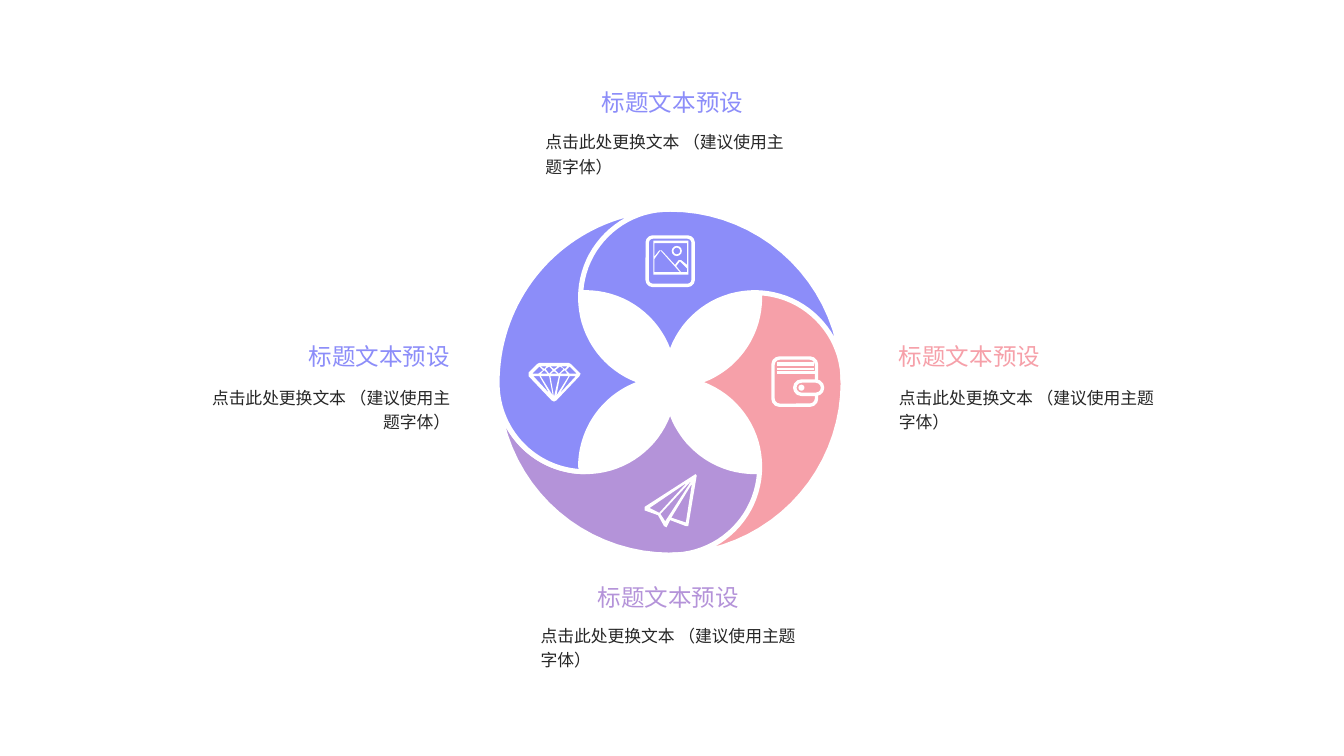
from math import acos, cos, degrees, radians, sin

from lxml.etree import SubElement
from pptx import Presentation
from pptx.dml.color import RGBColor
from pptx.enum.shapes import MSO_CONNECTOR, MSO_SHAPE
from pptx.enum.text import MSO_ANCHOR, PP_ALIGN
from pptx.oxml.ns import qn
from pptx.util import Inches, Pt

BLUE = RGBColor(0x8C, 0x8D, 0xF9)
PINK = RGBColor(0xF6, 0xA0, 0xA9)
PURPLE = RGBColor(0xB4, 0x93, 0xD9)
WHITE = RGBColor(0xFF, 0xFF, 0xFF)
INK = RGBColor(0x26, 0x26, 0x26)

deck = Presentation()
deck.slide_width, deck.slide_height = Inches(11.11), Inches(6.25)
page = deck.slides.add_slide(deck.slide_layouts[6])


def arc(center_x, center_y, radius, start, end, steps=40):
    """Points along an arc, with angles in degrees clockwise from the right."""
    angles = [radians(start + (end - start) * i / steps) for i in range(steps + 1)]
    return [(center_x + radius * cos(a), center_y + radius * sin(a)) for a in angles]


def add_outline(contours, fill):
    """One freeform made of closed contours; inner contours become holes."""
    emu = [[(Inches(x), Inches(y)) for x, y in contour] for contour in contours]
    builder = page.shapes.build_freeform(*emu[0][0], scale=1.0)
    for index, contour in enumerate(emu):
        if index:
            builder.move_to(*contour[0])
        builder.add_line_segments(contour[1:], close=True)
    shape = builder.convert_to_shape()
    shape.shadow.inherit = False
    shape.fill.solid()
    shape.fill.fore_color.rgb = fill
    shape.line.fill.background()
    return shape


# Wheel: each petal is a half disc less two small discs, turned by 90 degrees
HUB_X, HUB_Y = 5.54, 3.16
WHEEL, NOTCH, OFFSET, DROP = 1.43, 0.73, 0.7, 0.01
cusp = degrees(acos(OFFSET / NOTCH))
left_notch = arc(-OFFSET, DROP, NOTCH, 180, cusp)
full_petal = arc(0, 0, WHEEL, 0, 180) + left_notch + arc(OFFSET, DROP, NOTCH, 180 - cusp, 0)
# The last petal stops where it meets the first one
cut_petal = (arc(0, 0, WHEEL, 90, 180) + left_notch
             + arc(OFFSET, DROP, NOTCH, 180 - cusp, 90) + arc(DROP, OFFSET, NOTCH, 0, 90))

petals = [(full_petal, PURPLE), (full_petal, PINK), (full_petal, BLUE), (cut_petal, BLUE)]
for quarter, (outline, color) in enumerate(petals):
    turn = radians(-90 * quarter)
    points = [(HUB_X + x * cos(turn) - y * sin(turn), HUB_Y + x * sin(turn) + y * cos(turn))
              for x, y in outline]
    petal = add_outline([points], color)
    petal.line.color.rgb = WHITE
    petal.line.width = Pt(3)

# Icon outlines: paper plane, landscape and diamond
plane = [
    [(5.75, 3.92), (5.33, 4.19), (5.33, 4.22), (5.44, 4.26), (5.49, 4.35), (5.51, 4.36),
     (5.54, 4.3), (5.67, 4.35), (5.69, 4.35), (5.76, 3.93)],
    [(5.37, 4.2), (5.68, 3.99), (5.45, 4.24)],
    [(5.46, 4.25), (5.72, 3.97), (5.5, 4.31)],
    [(5.67, 4.32), (5.55, 4.28), (5.72, 4)],
]
landscape = [
    [(5.4, 1.99), (5.69, 1.99), (5.69, 2.27), (5.4, 2.27)],
    [(5.68, 2.01), (5.68, 2.19), (5.63, 2.15), (5.61, 2.15), (5.58, 2.19), (5.47, 2.07),
     (5.45, 2.07), (5.41, 2.12), (5.41, 2.01)],
    [(5.41, 2.14), (5.46, 2.07), (5.62, 2.25), (5.41, 2.25)],
    [(5.63, 2.25), (5.59, 2.2), (5.62, 2.16), (5.68, 2.22), (5.68, 2.25)],
]
diamond = [
    [(4.79, 3.08), (4.72, 3.01), (4.7, 3), (4.46, 3), (4.44, 3.01), (4.37, 3.08), (4.37, 3.11),
     (4.56, 3.31), (4.58, 3.32), (4.6, 3.31), (4.79, 3.11), (4.8, 3.09)],
    [(4.69, 3.03), (4.67, 3.05), (4.64, 3.03)],
    [(4.69, 3.09), (4.63, 3.09), (4.67, 3.06)],
    [(4.66, 3.05), (4.62, 3.09), (4.59, 3.06), (4.63, 3.03)],
    [(4.61, 3.09), (4.55, 3.09), (4.58, 3.07)],
    [(4.61, 3.03), (4.58, 3.05), (4.55, 3.03)],
    [(4.57, 3.06), (4.54, 3.09), (4.51, 3.05), (4.54, 3.03)],
    [(4.53, 3.09), (4.47, 3.09), (4.5, 3.06)],
    [(4.52, 3.03), (4.5, 3.05), (4.47, 3.03)],
    [(4.46, 3.03), (4.49, 3.06), (4.45, 3.09), (4.4, 3.09)],
    [(4.41, 3.11), (4.46, 3.11), (4.54, 3.25)],
    [(4.47, 3.11), (4.54, 3.11), (4.57, 3.27)],
    [(4.55, 3.11), (4.62, 3.11), (4.58, 3.28)],
    [(4.6, 3.27), (4.63, 3.11), (4.7, 3.11)],
    [(4.63, 3.25), (4.71, 3.11), (4.76, 3.11)],
    [(4.71, 3.09), (4.68, 3.06), (4.71, 3.03), (4.77, 3.09)],
]
for icon in (plane, landscape, diamond):
    add_outline(icon, WHITE)

# Wallet cards and flap edge: left, right, height, line width
card_lines = [(6.42, 6.73, 3, 1), (6.42, 6.73, 3.02, 1), (6.42, 6.73, 3.05, 1),
              (6.42, 6.75, 3.08, 2)]
for left, right, y, width in card_lines:
    edge = page.shapes.add_connector(
        MSO_CONNECTOR.STRAIGHT, Inches(left), Inches(y), Inches(right), Inches(y))
    edge.line.color.rgb = WHITE
    edge.line.width = Pt(width)
    SubElement(edge._element.spPr, qn("a:effectLst"))

# Rounded icon parts: left, top, width, height, corner, fill, line width
icon_parts = [
    (5.35, 1.96, 0.38, 0.4, 0.12, None, 2),     # photo frame
    (5.56, 2.04, 0.07, 0.07, 0.5, None, 1),     # sun
    (6.39, 2.96, 0.36, 0.39, 0.15, None, 2),    # wallet body
    (6.57, 3.15, 0.23, 0.11, 0.5, PINK, 2),     # clasp
    (6.6, 3.18, 0.05, 0.05, 0.5, WHITE, 0),     # button
]
for left, top, width, height, corner, fill, stroke in icon_parts:
    part = page.shapes.add_shape(MSO_SHAPE.ROUNDED_RECTANGLE, Inches(left), Inches(top),
                                 Inches(width), Inches(height))
    part.adjustments[0] = corner
    part.shadow.inherit = False
    if fill is None:
        part.fill.background()
    else:
        part.fill.solid()
        part.fill.fore_color.rgb = fill
    if stroke:
        part.line.color.rgb = WHITE
        part.line.width = Pt(stroke)
    else:
        part.line.fill.background()

# Captions: title box, its alignment, insets and anchor; body box, alignment, insets; colour
captions = [
    ((7.04, 2.78, 1.65, 0.33), PP_ALIGN.LEFT, (0.39, 0), MSO_ANCHOR.TOP,
     (7.04, 3.12, 2.69, 0.6), PP_ALIGN.LEFT, (0.39, 0.1), PINK),
    ((4.37, 4.64, 2.31, 0.46), PP_ALIGN.CENTER, (0, 0), MSO_ANCHOR.BOTTOM,
     (4.37, 5.09, 2.31, 0.6), PP_ALIGN.LEFT, (0.1, 0.1), PURPLE),
    ((4.88, 0.68, 1.36, 0.33), PP_ALIGN.CENTER, (0, 0), MSO_ANCHOR.TOP,
     (4.41, 1.01, 2.29, 0.6), PP_ALIGN.LEFT, (0.1, 0.1), BLUE),
    ((2.46, 2.78, 1.65, 0.33), PP_ALIGN.RIGHT, (0, 0.39), MSO_ANCHOR.TOP,
     (1.54, 3.12, 2.57, 0.6), PP_ALIGN.RIGHT, (0.1, 0.39), BLUE),
]
for (title_box, title_align, title_insets, title_anchor,
     body_box, body_align, body_insets, color) in captions:
    rows = [
        (title_box, "标题文本预设", 14, color, 1.0, title_align, title_insets, title_anchor),
        (body_box, "点击此处更换文本 （建议使用主题字体）", 10, INK, 1.2, body_align, body_insets,
         MSO_ANCHOR.TOP),
    ]
    for place, text, size, ink, spacing, align, insets, anchor in rows:
        box = page.shapes.add_textbox(*map(Inches, place))
        frame = box.text_frame
        frame.word_wrap = True
        frame.vertical_anchor = anchor
        frame.margin_left, frame.margin_right = map(Inches, insets)
        para = frame.paragraphs[0]
        para.alignment = align
        para.line_spacing = spacing
        span = para.add_run()
        span.text = text
        span.font.name = "Calibri"
        span.font.size = Pt(size)
        span.font.color.rgb = ink

deck.save("out.pptx")
